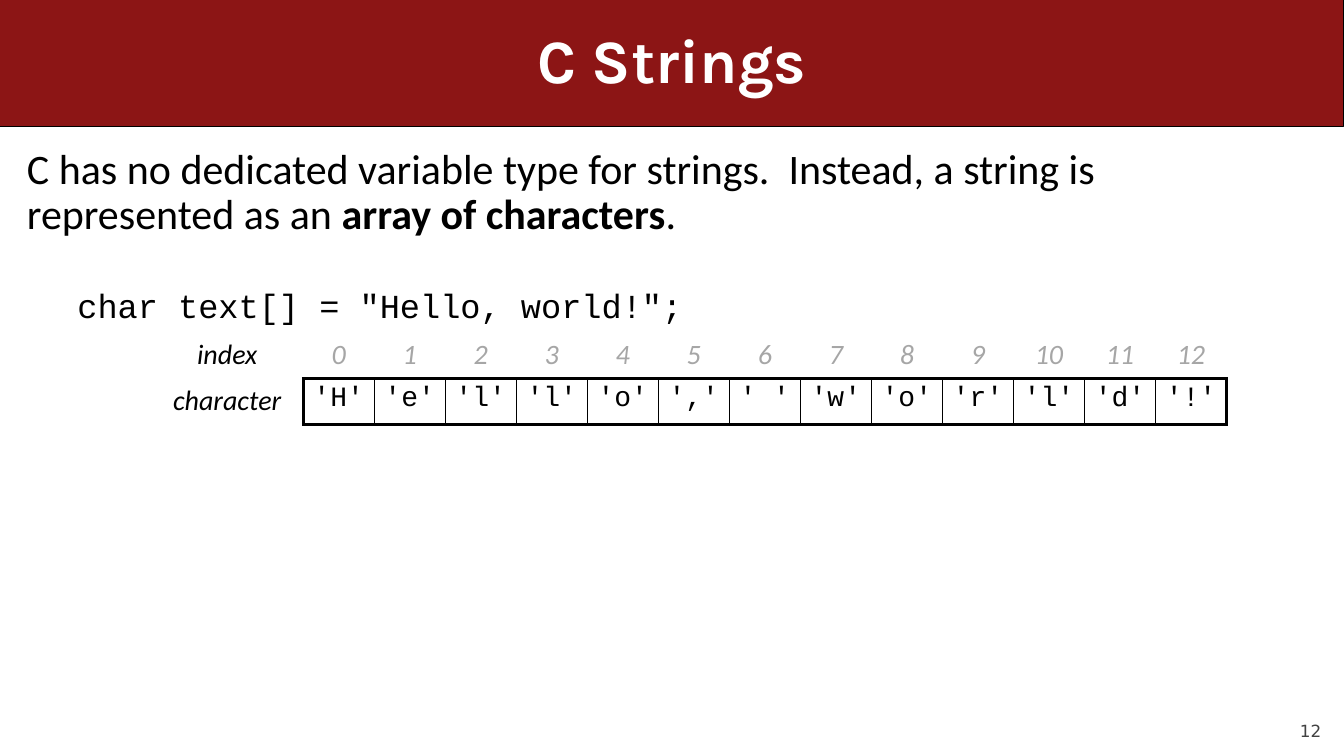
from dataclasses import dataclass

from lxml.etree import SubElement
from pptx import Presentation
from pptx.dml.color import RGBColor
from pptx.enum.shapes import MSO_SHAPE
from pptx.enum.text import MSO_ANCHOR, PP_ALIGN
from pptx.oxml import parse_xml
from pptx.oxml.ns import nsdecls, qn
from pptx.util import Cm, Pt


@dataclass(frozen=True)
class Theme:
    red: str = "8C1515"
    white: str = "FFFFFF"
    black: str = "000000"
    grey: str = "A6A6A6"
    dark: str = "424242"
    head: str = "Karla"
    body: str = "Calibri"
    code: str = "Courier New"
    foot: str = "DejaVu Sans"
    title_size: int = 44
    body_size: int = 30
    code_size: int = 24
    cell_size: int = 20
    foot_size: int = 12
    thick: float = 2.25
    thin: float = 1


THEME = Theme()
WORD = "Hello, world!"


def add_run(para, text, font, size, color=THEME.black, bold=False, italic=False):
    run = para.add_run()
    run.text = text
    face = run.font
    face.name, face.size = font, Pt(size)
    face.bold, face.italic = bold, italic
    face.color.rgb = RGBColor.from_string(color)


def add_box(slide, left, top, width, height):
    frame = slide.shapes.add_textbox(Cm(left), Cm(top), Cm(width), Cm(height)).text_frame
    frame.word_wrap = True
    return frame


def add_title(slide, text):
    """Fill the title and put the red band behind it."""
    title = slide.shapes.title
    title.left, title.top, title.width, title.height = Cm(1.27), Cm(0), Cm(31.33), Cm(3.18)
    title.text_frame.vertical_anchor = MSO_ANCHOR.MIDDLE
    para = title.text_frame.paragraphs[0]
    para.alignment, para.line_spacing = PP_ALIGN.CENTER, 0.9
    add_run(para, text, THEME.head, THEME.title_size, THEME.white, bold=True)

    band = slide.shapes.add_shape(MSO_SHAPE.RECTANGLE, 0, 0, Cm(33.87), Cm(3.18))
    band.shadow.inherit = False
    band.fill.solid()
    band.fill.fore_color.rgb = RGBColor.from_string(THEME.red)
    band.line.color.rgb = RGBColor.from_string(THEME.black)
    band.line.width = Pt(0.75)
    title.element.addprevious(band.element)


def add_body(slide):
    frame = add_box(slide, 0.43, 3.61, 32.81, 14.4)
    intro = frame.paragraphs[0]
    intro.line_spacing = 0.9
    lead = "C has no dedicated variable type for strings.  Instead, a string is represented as an "
    for text, bold in ((lead, False), ("array of characters", True), (".", False)):
        add_run(intro, text, THEME.body, THEME.body_size, bold=bold)

    code = frame.add_paragraph()
    code.level, code.line_spacing, code.space_before = 1, 0.9, Pt(36)
    props = code._p.get_or_add_pPr()
    props.set("marL", str(Cm(1.27)))
    props.set("indent", "0")
    add_run(code, f'char text[] = "{WORD}";', THEME.code, THEME.code_size)


def set_edges(cell, edges):
    """Draw the sides named in edges (L, R, T, B to points) and clear the rest."""
    props = cell._tc.get_or_add_tcPr()
    for spot, side in enumerate("LRTB"):
        line = parse_xml(f"<a:ln{side} {nsdecls('a')}/>")
        if side in edges:
            line.set("w", str(Pt(edges[side])))
            fill = SubElement(line, qn("a:solidFill"))
            SubElement(fill, qn("a:srgbClr")).set("val", THEME.black)
        else:
            SubElement(line, qn("a:noFill"))
        props.insert(spot, line)


def cell_edges(row, col, last):
    """Thick frame round the characters, thin lines between them."""
    if row == 0:
        return {"B": THEME.thick} if col else {}
    if col == 0:
        return {"R": THEME.thick}
    return {
        "L": THEME.thick if col == 1 else THEME.thin,
        "R": THEME.thick if col == last else THEME.thin,
        "T": THEME.thick,
        "B": THEME.thick,
    }


def fill_cell(cell, text, font, color, italic):
    cell.fill.background()
    cell.margin_left = cell.margin_right = Cm(0.1)
    para = cell.text_frame.paragraphs[0]
    para.alignment = PP_ALIGN.CENTER
    add_run(para, text, font, THEME.cell_size, color, italic=italic)


def add_array(slide):
    rows = (
        ("index", range(len(WORD)), THEME.body, THEME.grey, True),
        ("character", [f"'{char}'" for char in WORD], THEME.code, THEME.black, False),
    )
    last = len(WORD)
    table = slide.shapes.add_table(
        len(rows), last + 1, Cm(3.81), Cm(8.38), Cm(27.1), Cm(2.31)
    ).table
    table.first_row = table.horz_banding = False
    for col, column in enumerate(table.columns):
        column.width = Cm(1.79 if col else 3.83)
    for row, (label, values, font, color, italic) in enumerate(rows):
        table.rows[row].height = Cm(1.16)
        fill_cell(table.cell(row, 0), label, THEME.body, THEME.black, True)
        for col, value in enumerate(values, 1):
            fill_cell(table.cell(row, col), str(value), font, color, italic)
        for col in range(last + 1):
            set_edges(table.cell(row, col), cell_edges(row, col, last))


def add_number(slide, number):
    frame = add_box(slide, 30.48, 17.65, 2.82, 1.02)
    frame.margin_left = frame.margin_right = frame.margin_top = frame.margin_bottom = 0
    frame.vertical_anchor = MSO_ANCHOR.BOTTOM
    para = frame.paragraphs[0]
    para.alignment = PP_ALIGN.RIGHT
    add_run(para, str(number), THEME.foot, THEME.foot_size, THEME.dark)


def main():
    deck = Presentation()
    deck.slide_width, deck.slide_height = Cm(33.87), Cm(19.05)
    slide = deck.slides.add_slide(deck.slide_layouts.get_by_name("Title Only"))
    add_title(slide, "C Strings")
    add_body(slide)
    add_array(slide)
    add_number(slide, 12)
    deck.save("out.pptx")


if __name__ == "__main__":
    main()
